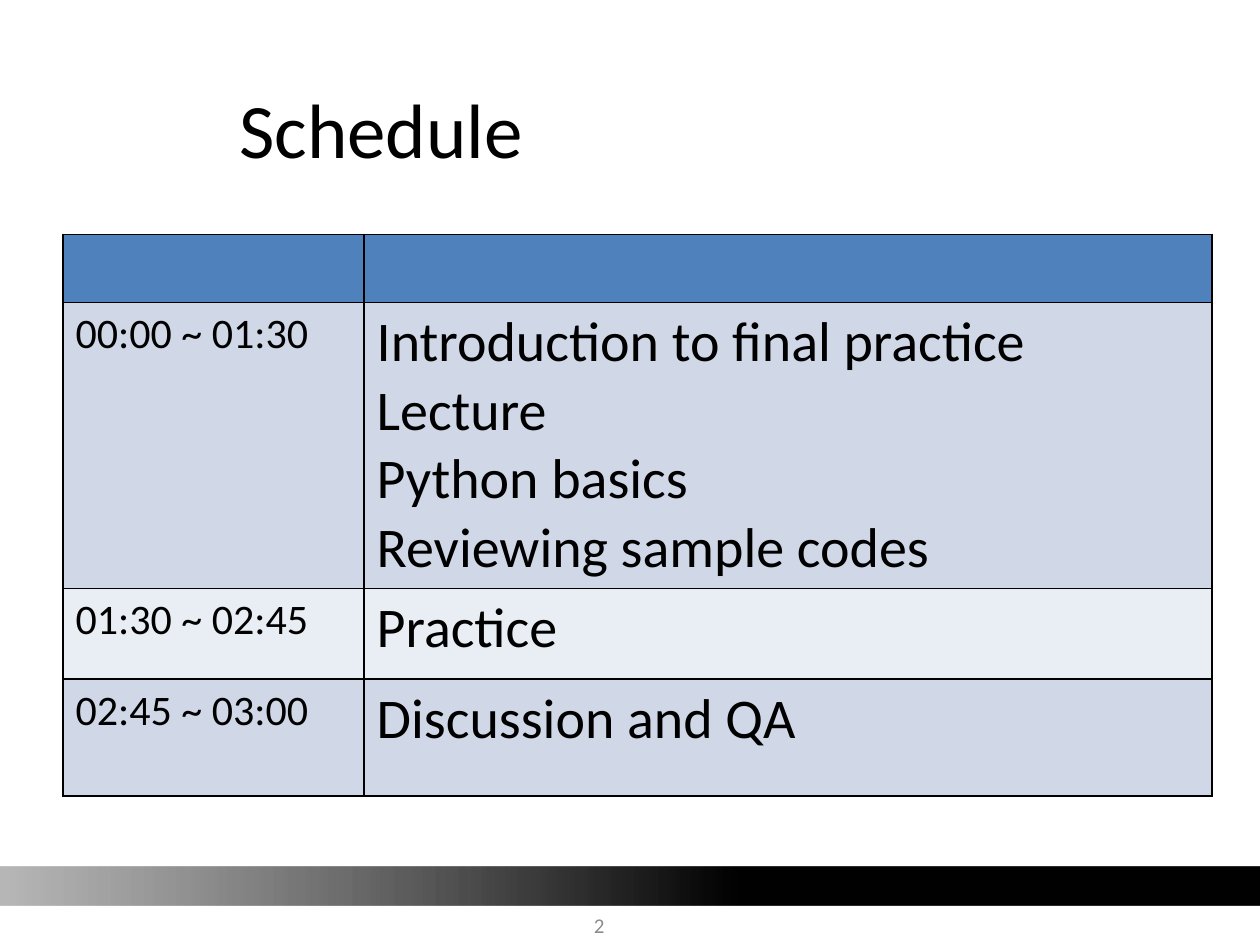
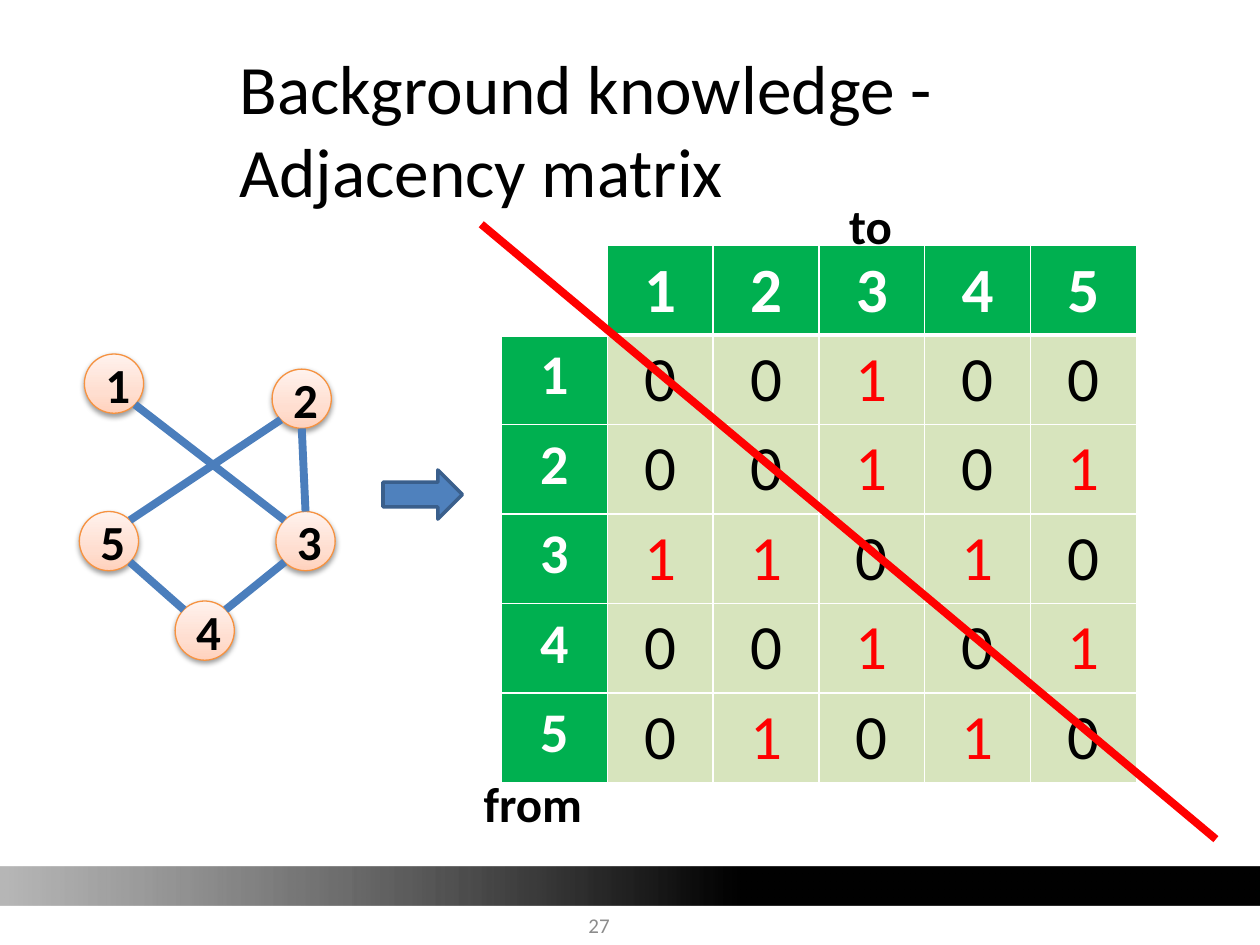
import math

import pptx
import pptx.dml.color
import pptx.enum.shapes
import pptx.enum.text
import pptx.oxml
import pptx.oxml.ns
import pptx.util
from pptx.util import Inches

SHAPES = pptx.enum.shapes.MSO_SHAPE
ANCHOR = pptx.enum.text.MSO_ANCHOR
ALIGN = pptx.enum.text.PP_ALIGN
AUTO_SIZE = pptx.enum.text.MSO_AUTO_SIZE

COLORS = {
    "black": "000000",
    "white": "FFFFFF",
    "grey": "8C8C8C",
    "red": "FF0000",
    "band_end": "404040",
    "blue": "4F81BD",
    "blue_outline": "3A5F8C",
    "row_dark": "D0D8E8",
    "row_light": "E9EDF4",
    "green": "00B050",
    "pale_green": "D7E4BD",
    "edge": "4B7EBC",
    "node_outline": "F69240",
    "node_bottom": "FFD2BD",
    "node_middle": "FFDED0",
    "node_top": "FFF2ED",
}

# Each gradient stop is (position %, color, opacity %).
BAND_STOPS = [(41, "black", 100), (100, "band_end", 37)]
NODE_STOPS = [(0, "node_bottom", 100), (35, "node_middle", 100), (100, "node_top", 100)]

SCHEDULE = [
    ("", [""], 0.54, "blue"),
    ("00:00 ~ 01:30", ["Introduction to final practice", "Lecture", "Python basics",
                       "Reviewing sample codes"], 2.27, "row_dark"),
    ("01:30 ~ 02:45", ["Practice"], 0.72, "row_light"),
    ("02:45 ~ 03:00", ["Discussion and QA"], 0.93, "row_dark"),
]

NODE_SIZE = 0.47
NODES = {1: (0.67, 2.81), 5: (0.63, 4.06), 2: (2.16, 2.93), 4: (1.39, 4.77), 3: (2.19, 4.06)}
# (first node, angle on its rim, second node, angle on its rim); angles run clockwise from the right.
EDGES = [(1, 45, 3, 225), (2, 90, 3, 270), (2, 135, 5, 315), (3, 135, 4, 315), (4, 225, 5, 45)]


def rgb(color):
    return pptx.dml.color.RGBColor.from_string(COLORS[color])


def drawing_xml(tag, content, attributes=""):
    namespace = pptx.oxml.ns.nsdecls("a")
    return pptx.oxml.parse_xml(f"<a:{tag} {namespace} {attributes}>{content}</a:{tag}>")


def set_all(target, values):
    for name, value in values.items():
        setattr(target, name, value)


def rim_point(node, angle):
    """Point on a node's circle at the given angle, in inches."""
    radius = NODE_SIZE / 2
    left, top = NODES[node]
    turn = math.radians(angle)
    return left + radius + radius * math.cos(turn), top + radius + radius * math.sin(turn)


class Deck:
    FONT = "Calibri"

    def __init__(self):
        self.presentation = pptx.Presentation()
        set_all(self.presentation, {"slide_width": Inches(10), "slide_height": Inches(7.5)})
        self.slide = None

    def new_slide(self, title, title_size, number):
        self.slide = self.presentation.slides.add_slide(self.presentation.slide_layouts[5])
        self.band()
        self.title(title, title_size)
        self.text(str(number), (3.59, 7.19, 2.33, 0.31), 12, "grey", align=ALIGN.CENTER,
                  frame_format={"vertical_anchor": ANCHOR.MIDDLE, "word_wrap": True})

    def fill_text(self, frame, lines, size, color="black", bold=False, align=ALIGN.LEFT):
        for index, line in enumerate(lines):
            paragraph = frame.add_paragraph() if index else frame.paragraphs[0]
            paragraph.text = line
            paragraph.alignment = align
            set_all(paragraph.font,
                    {"name": self.FONT, "size": pptx.util.Pt(size), "bold": bold})
            paragraph.font.color.rgb = rgb(color)

    def title(self, text, size):
        shape = self.slide.shapes.title
        set_all(shape, {"left": Inches(1.8), "top": Inches(0.39),
                        "width": Inches(7.7), "height": Inches(1.25)})
        set_all(shape.text_frame, {"vertical_anchor": ANCHOR.MIDDLE, "word_wrap": True,
                                   "auto_size": AUTO_SIZE.NONE})
        self.fill_text(shape.text_frame, [text], size)

    def text(self, text, box, size, color="black", bold=False, align=ALIGN.LEFT,
             frame_format=None):
        shape = self.slide.shapes.add_textbox(*map(Inches, box))
        set_all(shape.text_frame, frame_format or {"word_wrap": False})
        self.fill_text(shape.text_frame, [text], size, color, bold, align)

    def shape(self, kind, box, fill, outline=None, width=0.0):
        shape = self.slide.shapes.add_shape(kind, *map(Inches, box))
        shape.shadow.inherit = False
        shape.fill.solid()
        shape.fill.fore_color.rgb = rgb(fill)
        if outline:
            shape.line.color.rgb = rgb(outline)
            shape.line.width = pptx.util.Pt(width)
        else:
            shape.line.fill.background()
        return shape

    def gradient(self, shape, stops, angle):
        """Replace the solid fill of a shape by a linear gradient."""
        stop_xml = "".join(
            f'<a:gs pos="{position * 1000}"><a:srgbClr val="{COLORS[color]}">'
            f'<a:alpha val="{opacity * 1000}"/></a:srgbClr></a:gs>'
            for position, color, opacity in stops)
        content = f'<a:gsLst>{stop_xml}</a:gsLst><a:lin ang="{angle * 60000}" scaled="0"/>'
        properties = shape.element.spPr
        solid = properties.find(pptx.oxml.ns.qn("a:solidFill"))
        properties.replace(solid, drawing_xml("gradFill", content, 'rotWithShape="1"'))

    def band(self):
        shape = self.shape(SHAPES.RECTANGLE, (0, 6.88, 10, 0.31), "black")
        self.gradient(shape, BAND_STOPS, 180)

    def node(self, label, left, top):
        shape = self.shape(SHAPES.OVAL, (left, top, NODE_SIZE, NODE_SIZE),
                           "node_middle", "node_outline", 0.75)
        self.gradient(shape, NODE_STOPS, 270)
        shadow = drawing_xml(
            "outerShdw", f'<a:srgbClr val="{COLORS["black"]}"><a:alpha val="38000"/></a:srgbClr>',
            f'blurRad="{pptx.util.Pt(3.1)}" dist="{pptx.util.Pt(1.6)}" dir="5400000" '
            'rotWithShape="0"')
        shape.element.spPr.find(pptx.oxml.ns.qn("a:effectLst")).append(shadow)
        set_all(shape.text_frame, {"margin_left": Inches(0.06), "margin_right": 0,
                                   "margin_top": 0, "margin_bottom": 0, "word_wrap": False,
                                   "vertical_anchor": ANCHOR.MIDDLE})
        self.fill_text(shape.text_frame, [str(label)], 28, bold=True, align=ALIGN.CENTER)

    def line(self, start, end, color, width=4.5):
        connector = self.slide.shapes.add_connector(
            pptx.enum.shapes.MSO_CONNECTOR.STRAIGHT, *map(Inches, (*start, *end)))
        connector.line.color.rgb = rgb(color)
        connector.line.width = pptx.util.Pt(width)
        connector.element.spPr.append(drawing_xml("effectLst", ""))

    def table(self, left, top, widths, heights):
        frame = self.slide.shapes.add_table(
            len(heights), len(widths),
            *map(Inches, (left, top, sum(widths), sum(heights))))
        table = frame.table
        set_all(table, {"first_row": False, "horz_banding": False})
        for column, width in zip(table.columns, widths):
            column.width = Inches(width)
        for row, height in zip(table.rows, heights):
            row.height = Inches(height)
        return table

    def cell(self, cell, lines, size, fill, border, color="black", bold=False,
             align=ALIGN.LEFT, top_width=1, bottom_width=1):
        properties = cell._tc.get_or_add_tcPr()
        for side, width in (("L", 1), ("R", 1), ("T", top_width), ("B", bottom_width)):
            properties.append(drawing_xml(
                f"ln{side}",
                f'<a:solidFill><a:srgbClr val="{COLORS[border]}"/></a:solidFill>',
                f'w="{pptx.util.Pt(width)}"'))
        cell.fill.solid()
        cell.fill.fore_color.rgb = rgb(fill)
        self.fill_text(cell.text_frame, lines, size, color, bold, align)


def build_schedule(deck):
    deck.new_slide("Schedule", 44, 2)
    table = deck.table(0.5, 1.86, [2.39, 6.73], [height for _, _, height, _ in SCHEDULE])
    for row, (time, topics, _, fill) in enumerate(SCHEDULE):
        header = row == 0
        deck.cell(table.cell(row, 0), [time], 18 if header else 24, fill, "black")
        deck.cell(table.cell(row, 1), topics, 18 if header else 32, fill, "black")


def build_matrix(deck):
    """Fill the adjacency matrix from the edges of the graph."""
    linked = {frozenset((first, second)) for first, _, second, _ in EDGES}
    count = len(NODES) + 1
    table = deck.table(3.98, 1.95, [0.84] * count, [0.71] * count)
    for row in range(count):
        for column in range(count):
            style = {"fill": "green", "color": "white", "bold": True, "size": 36}
            if row == 0:
                text = str(column) if column else ""
                style["bottom_width"] = 3
                if not column:
                    style.update(fill="white", size=18)
            elif column == 0:
                text = str(row)
                style["size"] = 32
            else:
                joined = frozenset((row, column)) in linked
                text = str(int(joined))
                style.update(fill="pale_green", color="red" if joined else "black", bold=False)
            if row == 1:
                style["top_width"] = 3
            deck.cell(table.cell(row, column), [text], border="white",
                      align=ALIGN.CENTER, **style)


def build_adjacency(deck):
    deck.new_slide("Background knowledge -\vAdjacency matrix", 39.6, 27)
    for label, (left, top) in NODES.items():
        deck.node(label, left, top)
    for first, first_angle, second, second_angle in EDGES:
        deck.line(rim_point(first, first_angle), rim_point(second, second_angle), "edge")
    build_matrix(deck)
    deck.line((3.82, 1.78), (9.65, 6.66), "red")
    deck.text("from", (3.74, 6.09, 0.99, 0.57), 28, bold=True)
    deck.text("to", (6.64, 1.5, 0.55, 0.57), 28, bold=True)
    deck.shape(SHAPES.RIGHT_ARROW, (3.04, 3.73, 0.63, 0.39), "blue", "blue_outline", 2)


def main():
    deck = Deck()
    build_schedule(deck)
    build_adjacency(deck)
    deck.presentation.save("out.pptx")


if __name__ == "__main__":
    main()
